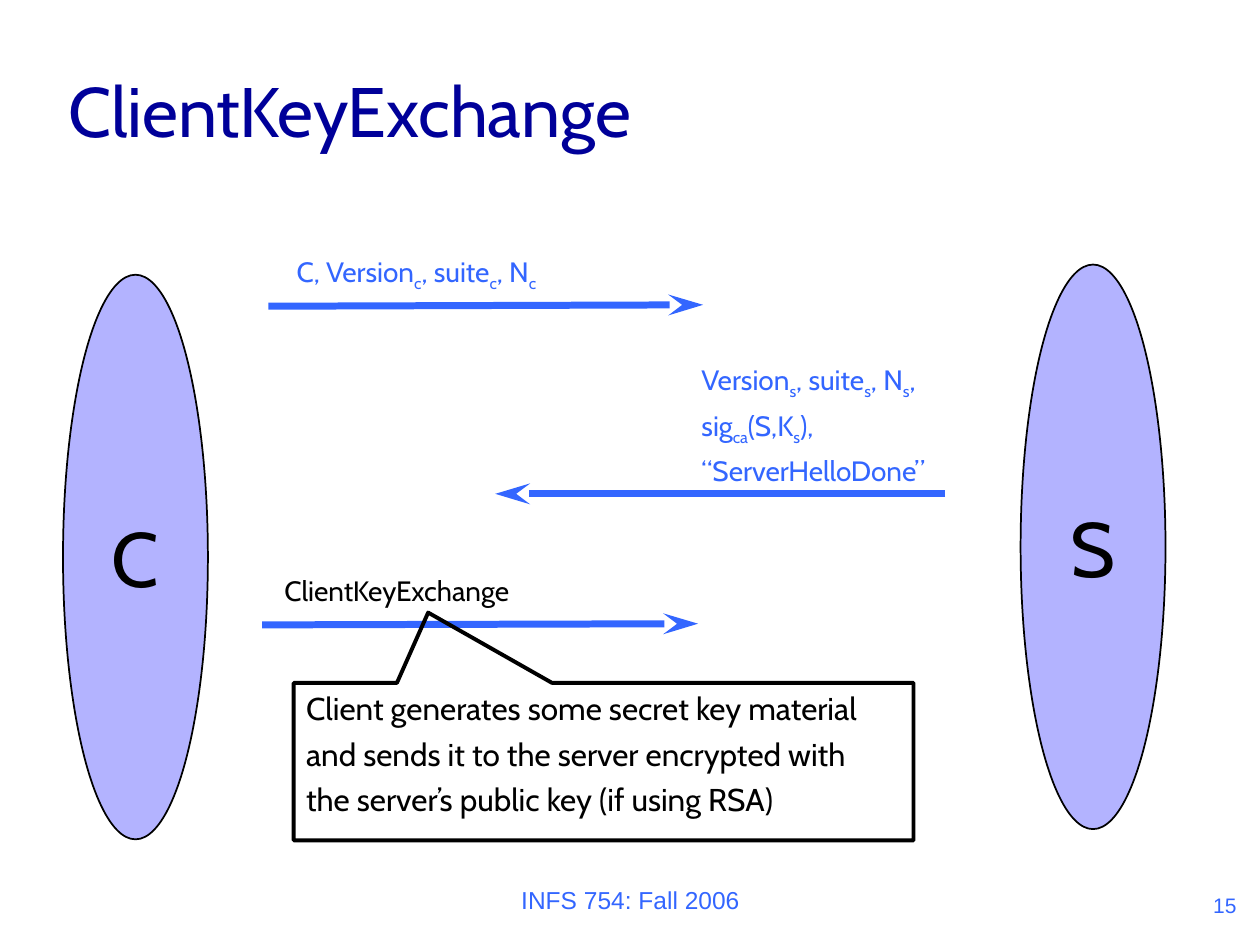
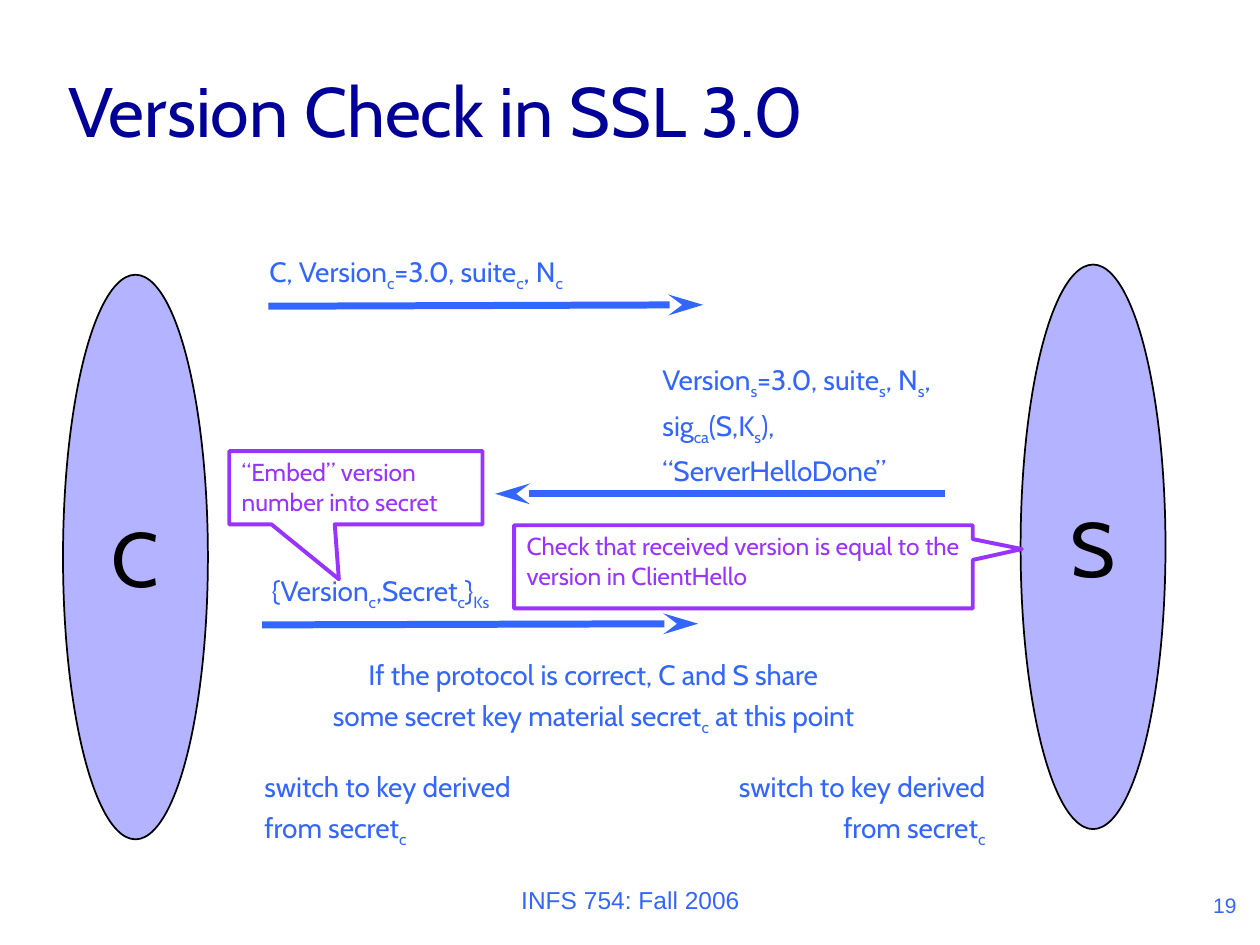
from lxml import etree
from pptx import Presentation
from pptx.dml.color import RGBColor
from pptx.enum import shapes, text
from pptx.oxml import ns
from pptx.util import Pt

NAVY = RGBColor(0x00, 0x00, 0x99)
BLUE = RGBColor(0x33, 0x66, 0xFF)
LILAC = RGBColor(0xB3, 0xB3, 0xFF)
PURPLE = RGBColor(0x99, 0x33, 0xFF)
BLACK = RGBColor(0x00, 0x00, 0x00)
CABIN, ARIAL = "Cabin", "Arial"
LEFT, CENTER, RIGHT = text.PP_ALIGN.LEFT, text.PP_ALIGN.CENTER, text.PP_ALIGN.RIGHT
TOP, MIDDLE, BOTTOM = text.MSO_ANCHOR.TOP, text.MSO_ANCHOR.MIDDLE, text.MSO_ANCHOR.BOTTOM

TITLE_BOX = (31.7, 18, 612, 72)
HANDSHAKE_BOX = (36, 141.8, 630, 337.8)
FOOTER_BOX = (246.2, 490.3, 228.2, 36)
NUMBER_BOX = (563.8, 491.8, 149.8, 36)
PARTY_SIZE = (82.8, 322.6)


def write(sp, lines, size, color, align=LEFT, anchor=TOP, font=CABIN, wrap=True):
    """Fill a shape with lines; text between tildes is set as subscript."""
    tf = sp.text_frame
    tf.word_wrap = wrap
    tf.vertical_anchor = anchor
    for i, line in enumerate(lines):
        p = tf.paragraphs[0] if i == 0 else tf.add_paragraph()
        p.alignment = align
        p.space_before = Pt(size / 4 if i else 0)
        for j, part in enumerate(line.split("~")):
            if not part:
                continue
            r = p.add_run()
            r.text = part
            r.font.name = font
            r.font.size = Pt(size)
            r.font.color.rgb = color
            if j % 2:
                r._r.get_or_add_rPr().set("baseline", "-25000")


def add_label(s, box, lines, align=LEFT, color=BLUE):
    """Add an unwrapped text label that grows with its text."""
    sp = s.shapes.add_textbox(*map(Pt, box))
    write(sp, lines, 16, color, align, wrap=False)
    sp.text_frame.auto_size = text.MSO_AUTO_SIZE.SHAPE_TO_FIT_TEXT


def add_footer(s, box, line, size, align):
    """Add a bottom-anchored footer text."""
    sp = s.shapes.add_textbox(*map(Pt, box))
    write(sp, [line], size, BLUE, align, BOTTOM, ARIAL)


def add_party(s, left, top, name):
    """Add the ellipse that stands for one party of the handshake."""
    sp = s.shapes.add_shape(shapes.MSO_SHAPE.OVAL, *map(Pt, (left, top, *PARTY_SIZE)))
    sp.shadow.inherit = False
    sp.fill.solid()
    sp.fill.fore_color.rgb = LILAC
    sp.line.color.rgb = BLACK
    sp.line.width = Pt(1)
    write(sp, [name], 44, BLACK, CENTER, MIDDLE, wrap=False)


def add_arrow(s, x1, y1, x2, y2):
    """Add a message arrow pointing at its second end."""
    c = s.shapes.add_connector(shapes.MSO_CONNECTOR.STRAIGHT, *map(Pt, (x1, y1, x2, y2)))
    c.line.color.rgb = BLUE
    c.line.width = Pt(4)
    etree.SubElement(c.line._get_or_add_ln(), ns.qn("a:tailEnd"),
                     type="stealth", w="med", len="lg")
    etree.SubElement(c._element.spPr, ns.qn("a:effectLst"))


def add_callout(s, box, tip, lines, size, color):
    """Add an unfilled callout whose tip is given as fractions of its box."""
    sp = s.shapes.add_shape(shapes.MSO_SHAPE.RECTANGULAR_CALLOUT, *map(Pt, box))
    sp.adjustments[0], sp.adjustments[1] = tip
    sp.shadow.inherit = False
    sp.fill.background()
    sp.line.color.rgb = color
    sp.line.width = Pt(2.25)
    write(sp, lines, size, color)


def add_handshake(s, box, hello, reply, exchange, exchange_color=BLUE):
    """Draw both parties, three arrows and labels given as (left, width, lines)."""
    x, y, w, h = box
    add_party(s, x, y + h - PARTY_SIZE[1], "C")
    add_party(s, x + w - PARTY_SIZE[0], y + 9.4, "S")
    for x1, y1, x2, y2 in ((117.4, 33.2, 365.8, 32.4),
                           (504, 140.4, 247, 140.4),
                           (113.8, 215.3, 362.9, 214.6)):
        add_arrow(s, x + x1, y + y1, x + x2, y + y2)
    for (left, width, lines), top, height, align, color in (
            (hello, 0, 29.5, CENTER, BLUE),
            (reply, 62, 78.5, LEFT, BLUE),
            (exchange, 182.2, 29.5, CENTER, exchange_color)):
        add_label(s, (x + left, y + top, width, height), lines, align, color)


def add_slide(prs, title, number):
    """Add a slide with its title, footer and number."""
    s = prs.slides.add_slide(prs.slide_layouts[5])
    sp = s.shapes.title
    sp.left, sp.top, sp.width, sp.height = map(Pt, TITLE_BOX)
    write(sp, [title], 40, NAVY, anchor=BOTTOM)
    sp.text_frame.auto_size = text.MSO_AUTO_SIZE.NONE
    add_footer(s, FOOTER_BOX, "INFS 754: Fall 2006", 14, CENTER)
    add_footer(s, NUMBER_BOX, number, 12, RIGHT)
    return s


def build_key_exchange(prs):
    """Build the slide on the client key exchange message."""
    s = add_slide(prs, "ClientKeyExchange", "15")
    add_handshake(
        s, HANDSHAKE_BOX,
        (118.1, 167.8, ["C, Version~c~, suite~c~, N~c~"]),
        (357.8, 153.4, ["Version~s~, suite~s~, N~s~,", "sig~ca~(S,K~s~),", "“ServerHelloDone”"]),
        (112.3, 157, ["ClientKeyExchange"]), BLACK)
    add_callout(s, (167.8, 390.2, 354.2, 90), (-0.283, -0.946),
                ["Client generates some secret key material",
                 "and sends it to the server encrypted with",
                 "the server’s public key (if using RSA)"], 18, BLACK)


def build_version_check(prs):
    """Build the slide on the version check."""
    s = add_slide(prs, "Version Check in SSL 3.0", "19")
    add_handshake(
        s, HANDSHAKE_BOX,
        (102.2, 199.4, ["C, Version~c~=3.0, suite~c~, N~c~"]),
        (335.5, 185, ["Version~s~=3.0, suite~s~, N~s~,", "sig~ca~(S,K~s~),", "“ServerHelloDone”"]),
        (105.1, 152.6, ["{Version~c~,Secret~c~}~Ks~"]))
    add_label(s, (164.2, 372.2, 349.9, 52.6),
              ["If the protocol is correct, C and S share",
               "some secret key material secret~c~ at this point"], CENTER)
    for left, align in ((144, LEFT), (398.2, RIGHT)):
        add_label(s, (left, 436.3, 172, 52.6),
                  ["switch to key derived", "from secret~c~"], align)
    add_callout(s, (131, 257.8, 144.7, 41.8), (-0.067, 1.25),
                ["“Embed” version number into secret"], 14, PURPLE)
    add_callout(s, (293.8, 300.2, 262.1, 47.5), (0.607, -0.214),
                ["Check that received version is equal to the version in ClientHello"],
                14, PURPLE)


def main():
    """Build and save the presentation."""
    prs = Presentation()
    prs.slide_width, prs.slide_height = Pt(720), Pt(540)
    build_key_exchange(prs)
    build_version_check(prs)
    prs.save("out.pptx")


if __name__ == "__main__":
    main()
